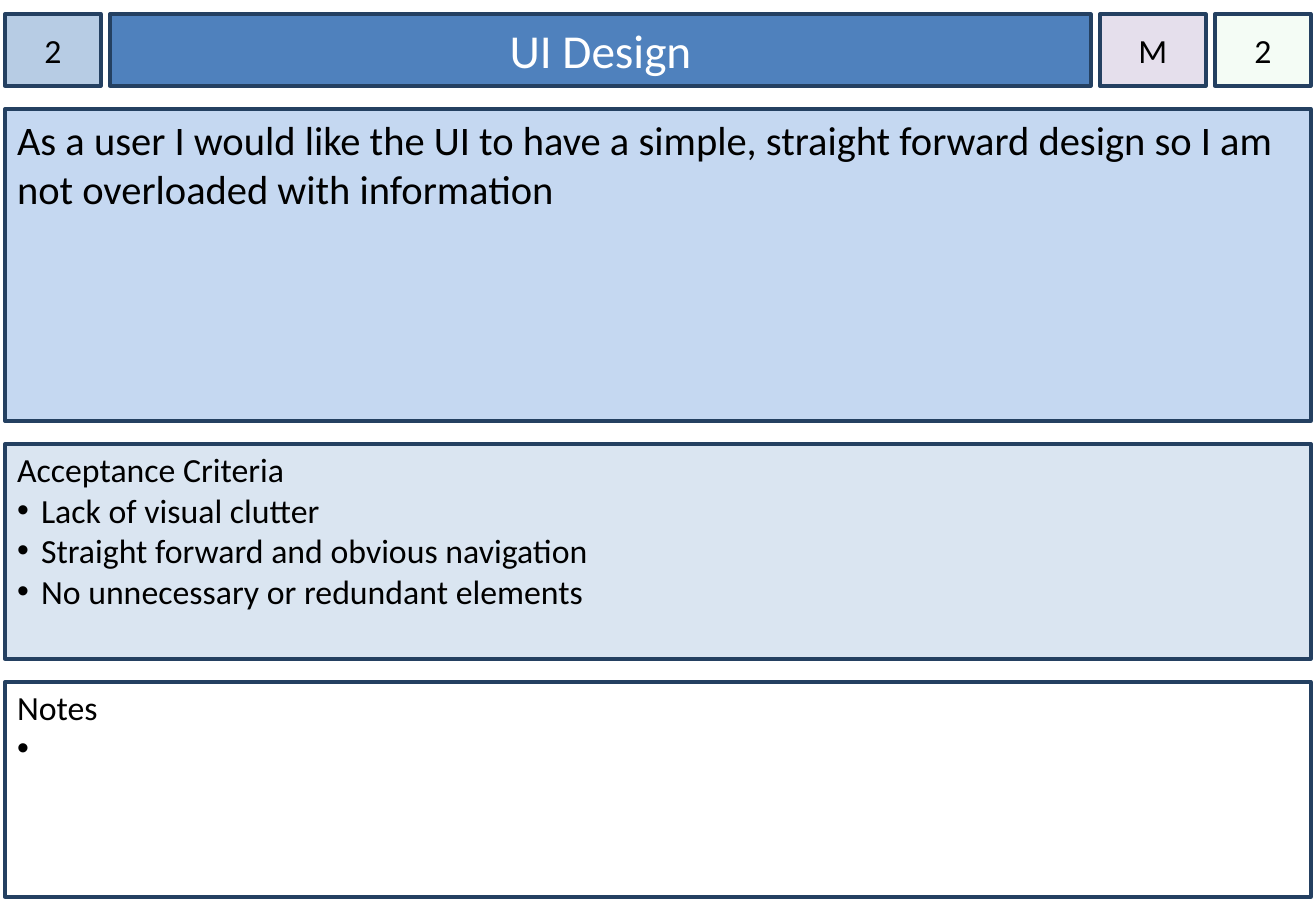
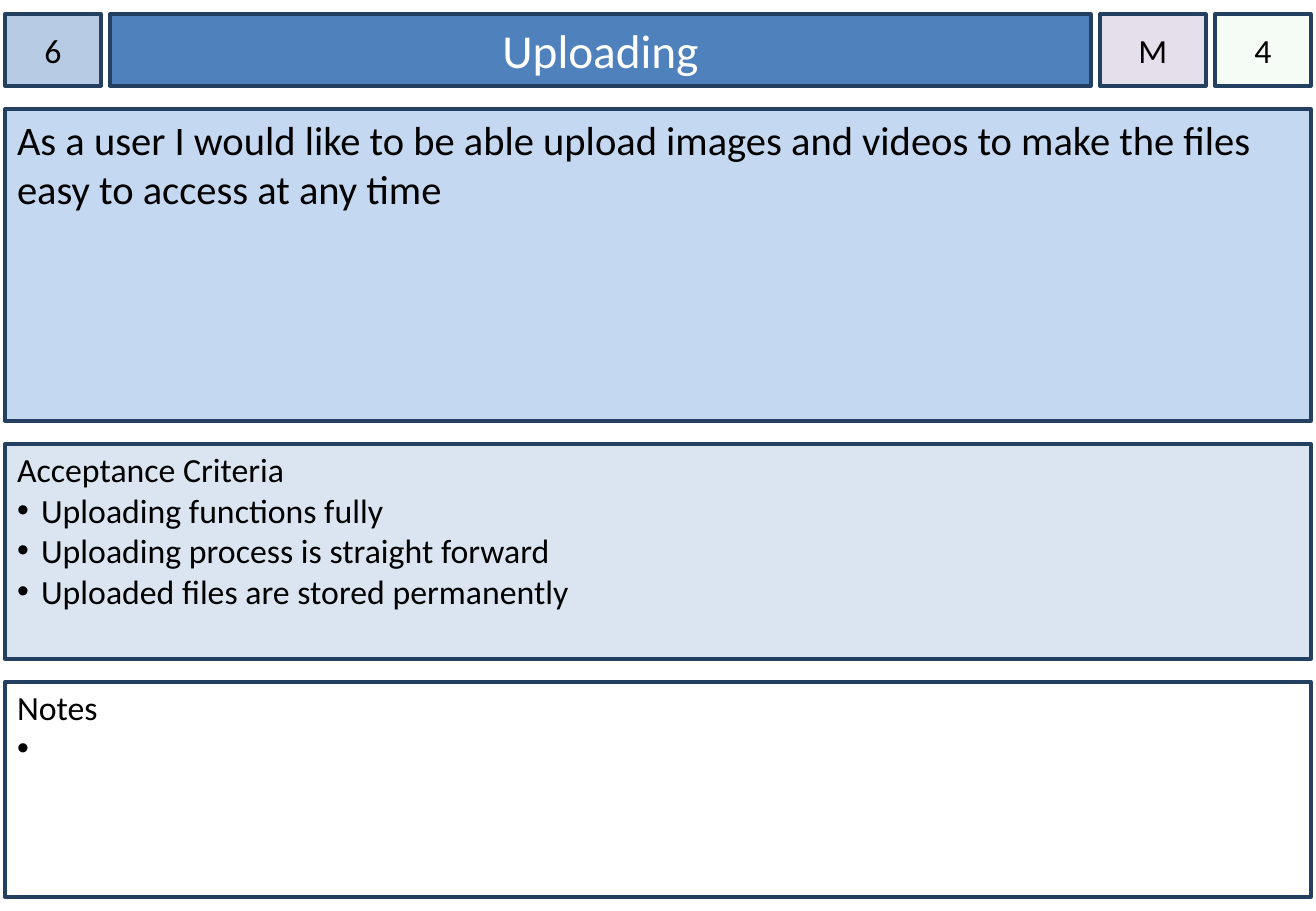
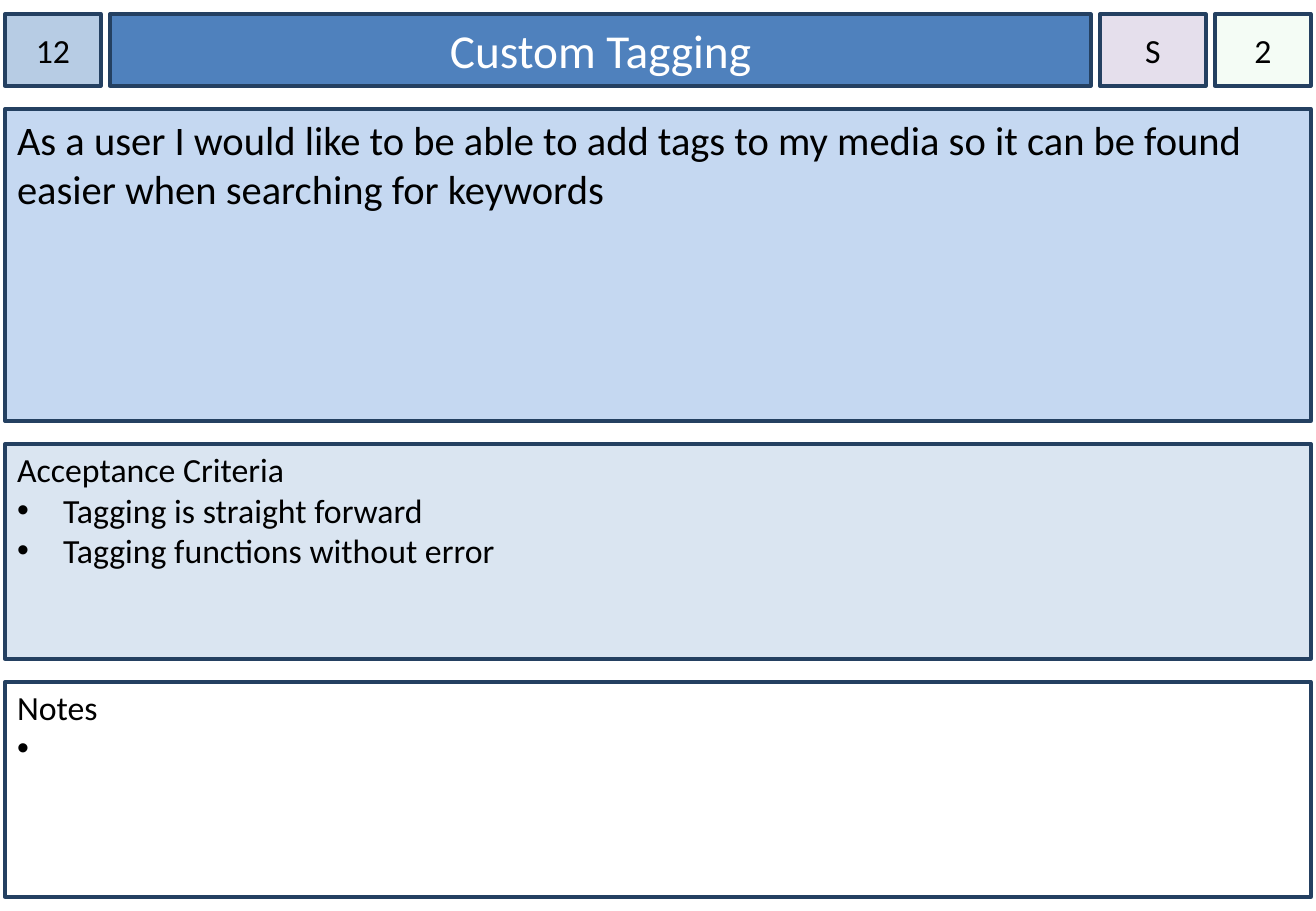
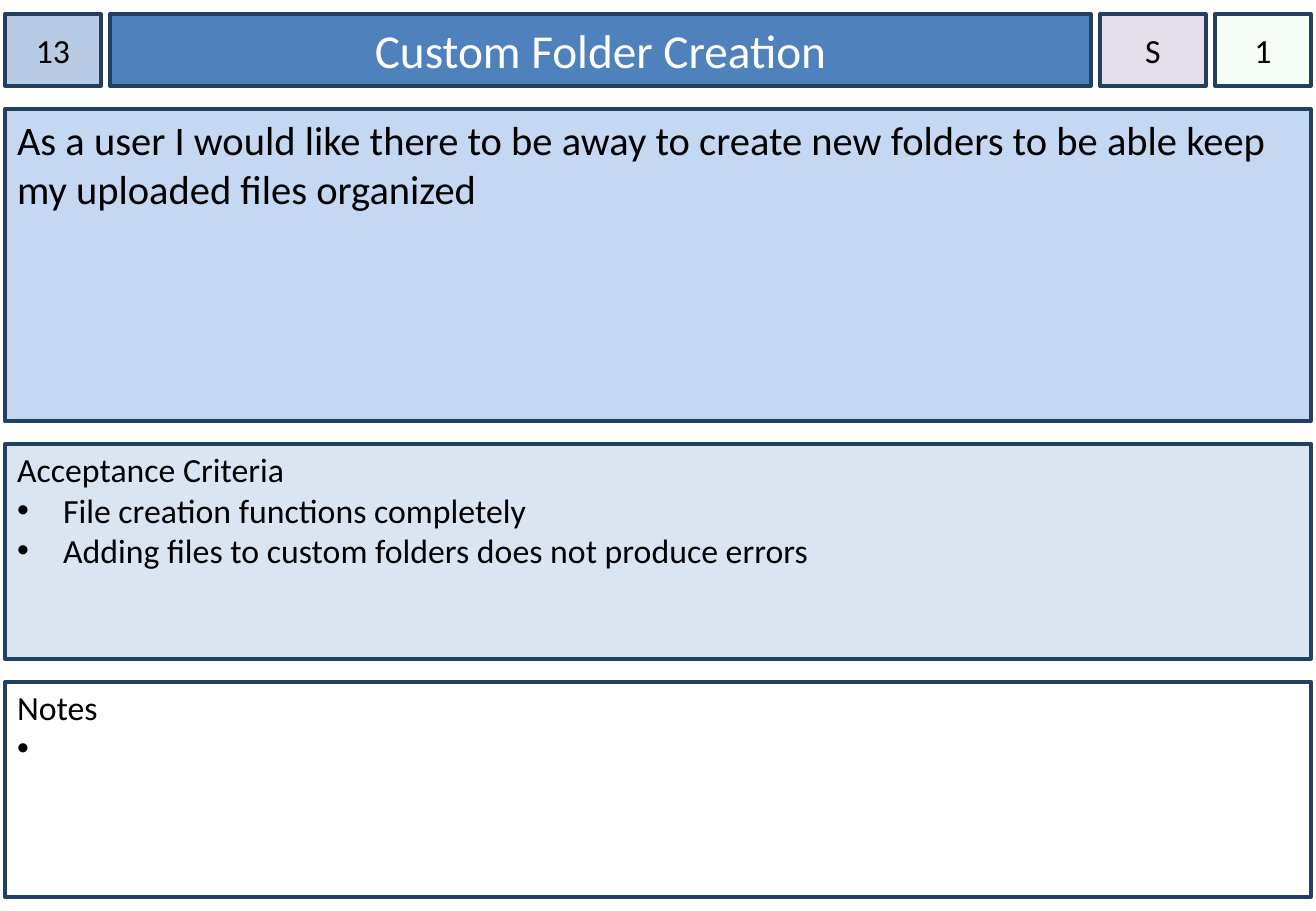
import dataclasses

import pptx
import pptx.dml.color
import pptx.enum.shapes
import pptx.enum.text
import pptx.oxml.ns
import pptx.util
from lxml import etree

EMU_PER_PX = 7526
PAGE_WIDTH, PAGE_HEIGHT = 1316, 911
ALIGN = pptx.enum.text.PP_ALIGN
ANCHOR = pptx.enum.text.MSO_ANCHOR
qn = pptx.oxml.ns.qn


@dataclasses.dataclass(frozen=True)
class Theme:
    font: str = "Calibri"
    text: str = "000000"
    title_text: str = "FFFFFF"
    border: str = "244061"
    border_width: int = 2
    number_fill: str = "B7CCE4"
    title_fill: str = "4F81BD"
    priority_fill: str = "E5DFEC"
    estimate_fill: str = "CCF0CD"
    estimate_opacity: int = 20
    story_fill: str = "C5D8F1"
    criteria_fill: str = "DAE5F1"
    remarks_fill: str = "FFFFFF"
    title_size: int = 28
    story_size: int = 24
    body_size: int = 20


THEME = Theme()


@dataclasses.dataclass(frozen=True)
class Box:
    left: int
    top: int
    width: int
    height: int


@dataclasses.dataclass(frozen=True)
class Story:
    number: str
    title: str
    priority: str
    estimate: str
    text: str
    criteria: tuple
    indent: int


# Layout in px
CARD = Box(5, 14, 1306, 883)
BAND_GAP, CELL_GAP = 23, 9
HEADER_HEIGHT, LIST_HEIGHT = 72, 215
BADGE_WIDTH, PRIORITY_WIDTH = 96, 106
NARROW_INDENT, WIDE_INDENT = 24, 46

STORIES = (
    Story("2", "UI Design", "M", "2",
          "As a user I would like the UI to have a simple, straight forward "
          "design so I am not overloaded with information",
          ("Lack of visual clutter",
           "Straight forward and obvious navigation",
           "No unnecessary or redundant elements"), NARROW_INDENT),
    Story("6", "Uploading", "M", "4",
          "As a user I would like to be able upload images and videos to make "
          "the files easy to access at any time",
          ("Uploading functions fully",
           "Uploading process is straight forward",
           "Uploaded files are stored permanently"), NARROW_INDENT),
    Story("12", "Custom Tagging", "S", "2",
          "As a user I would like to be able to add tags to my media so it can "
          "be found easier when searching for keywords",
          ("Tagging is straight forward",
           "Tagging functions without error"), WIDE_INDENT),
    Story("13", "Custom Folder Creation", "S", "1",
          "As a user I would like there to be away to create new folders to be "
          "able keep my uploaded files organized",
          ("File creation functions completely",
           "Adding files to custom folders does not produce errors"),
          WIDE_INDENT),
)


def px(length):
    return pptx.util.Emu(length * EMU_PER_PX)


def rgb(value):
    return pptx.dml.color.RGBColor.from_string(value)


def add_panel(page, box, fill, anchor=ANCHOR.TOP, side=12, top=6):
    """Add a bordered rectangle, ready for text."""
    panel = page.shapes.add_shape(
        pptx.enum.shapes.MSO_SHAPE.RECTANGLE,
        px(box.left), px(box.top), px(box.width), px(box.height))
    panel.shadow.inherit = False
    panel.fill.solid()
    panel.fill.fore_color.rgb = rgb(fill)
    panel.line.color.rgb = rgb(THEME.border)
    panel.line.width = pptx.util.Pt(THEME.border_width)
    frame = panel.text_frame
    frame.word_wrap = True
    frame.vertical_anchor = anchor
    frame.margin_left = frame.margin_right = px(side)
    frame.margin_top, frame.margin_bottom = px(top), px(6)
    return panel


def add_span(para, text, size, color=THEME.text, align=ALIGN.LEFT):
    para.alignment = align
    span = para.add_run()
    span.text = text
    span.font.name = THEME.font
    span.font.size = pptx.util.Pt(size)
    span.font.color.rgb = rgb(color)


def add_bullet(para, indent):
    properties = para._p.get_or_add_pPr()
    properties.set("marL", str(px(indent)))
    properties.set("indent", str(-px(indent)))
    color = etree.SubElement(properties, qn("a:buClr"))
    etree.SubElement(color, qn("a:srgbClr"), val=THEME.text)
    etree.SubElement(properties, qn("a:buFont"), typeface="Arial")
    etree.SubElement(properties, qn("a:buChar"), char="•")


def set_opacity(panel, percent):
    color = panel._element.spPr.find(qn("a:solidFill")).find(qn("a:srgbClr"))
    etree.SubElement(color, qn("a:alpha"), val=str(percent * 1000))


def add_header(page, box, story):
    """Row of number, title, priority and estimate; the title takes the rest."""
    title_width = box.width - 2 * BADGE_WIDTH - PRIORITY_WIDTH - 3 * CELL_GAP
    cells = (
        (story.number, BADGE_WIDTH, THEME.number_fill, THEME.body_size, THEME.text),
        (story.title, title_width, THEME.title_fill, THEME.title_size, THEME.title_text),
        (story.priority, PRIORITY_WIDTH, THEME.priority_fill, THEME.body_size, THEME.text),
        (story.estimate, BADGE_WIDTH, THEME.estimate_fill, THEME.body_size, THEME.text),
    )
    left = box.left
    for text, width, fill, size, color in cells:
        panel = add_panel(page, Box(left, box.top, width, box.height), fill,
                          ANCHOR.MIDDLE, side=0)
        add_span(panel.text_frame.paragraphs[0], text, size, color, ALIGN.CENTER)
        left += width + CELL_GAP
    set_opacity(panel, THEME.estimate_opacity)


def add_story_text(page, box, text):
    panel = add_panel(page, box, THEME.story_fill)
    add_span(panel.text_frame.paragraphs[0], text, THEME.story_size)


def add_list(page, box, fill, heading, items, indent):
    """Panel with a heading and bulleted items."""
    frame = add_panel(page, box, fill, top=5).text_frame
    add_span(frame.paragraphs[0], heading, THEME.body_size)
    for item in items:
        para = frame.add_paragraph()
        add_bullet(para, indent)
        add_span(para, item, THEME.body_size)


def add_card(page, box, story):
    """Stack the four bands; the story text takes the height left over."""
    story_height = box.height - HEADER_HEIGHT - 2 * LIST_HEIGHT - 3 * BAND_GAP
    bands, top = [], box.top
    for height in (HEADER_HEIGHT, story_height, LIST_HEIGHT, LIST_HEIGHT):
        bands.append(Box(box.left, top, box.width, height))
        top += height + BAND_GAP
    header, body, criteria, remarks = bands
    add_header(page, header, story)
    add_story_text(page, body, story.text)
    add_list(page, criteria, THEME.criteria_fill, "Acceptance Criteria",
             story.criteria, story.indent)
    # A blank item keeps the open bullet visible
    add_list(page, remarks, THEME.remarks_fill, "Notes", (" ",), NARROW_INDENT)


def main():
    deck = pptx.Presentation()
    deck.slide_width, deck.slide_height = px(PAGE_WIDTH), px(PAGE_HEIGHT)
    for story in STORIES:
        page = deck.slides.add_slide(deck.slide_layouts[6])
        add_card(page, CARD, story)
    deck.save("out.pptx")


if __name__ == "__main__":
    main()
